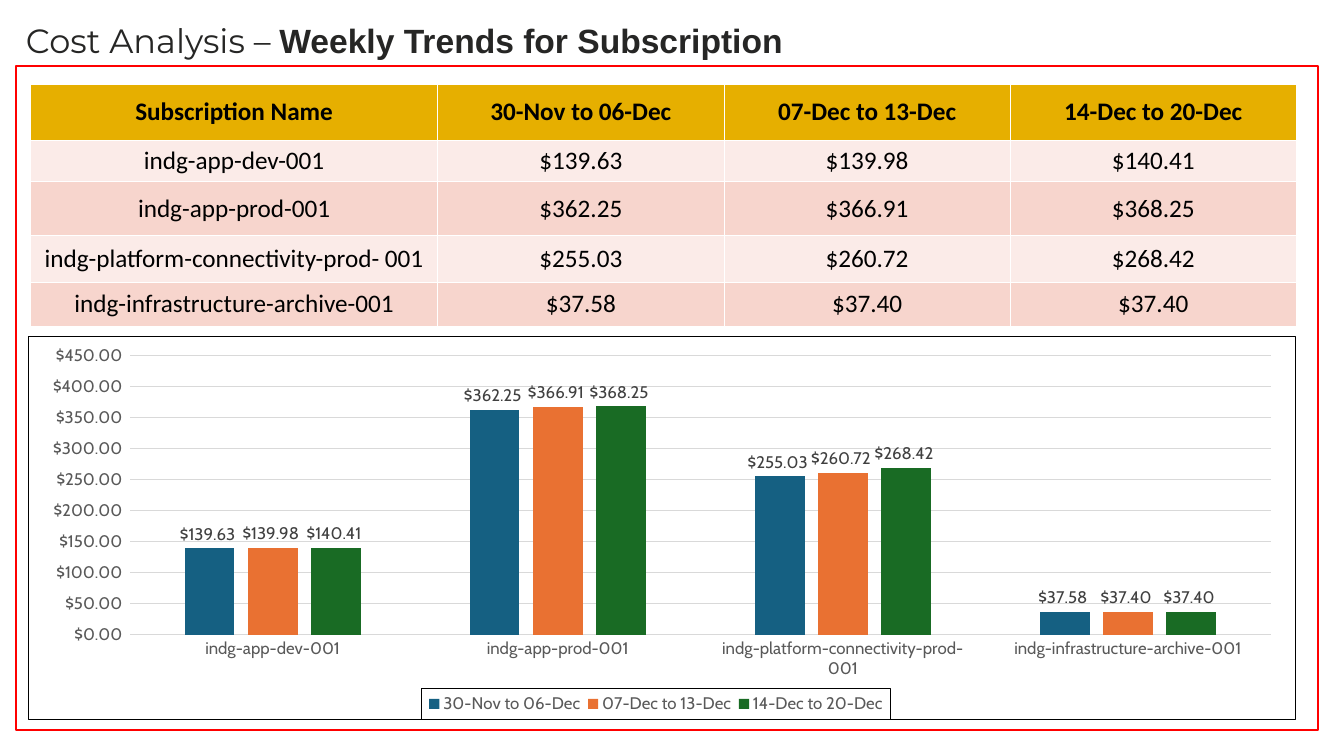
from dataclasses import dataclass

from lxml.etree import SubElement
from pptx import Presentation
from pptx.chart.data import CategoryChartData
from pptx.dml.color import RGBColor
from pptx.enum.chart import XL_CHART_TYPE, XL_LABEL_POSITION, XL_LEGEND_POSITION, XL_TICK_MARK
from pptx.enum.shapes import MSO_SHAPE
from pptx.enum.text import MSO_ANCHOR, MSO_AUTO_SIZE, PP_ALIGN
from pptx.oxml import parse_xml
from pptx.oxml.ns import nsdecls, qn
from pptx.util import Pt


@dataclass(frozen=True)
class Theme:
    """Colours, fonts and type sizes of the slide."""
    frame: str = "FF0000"
    title: str = "262625"
    ink: str = "000000"
    white: str = "FFFFFF"
    head: str = "E6AF00"
    bands: tuple = ("FBEBE8", "F7D5CD")
    bars: tuple = ("156082", "E97132", "196B24")
    axis: str = "595959"
    label: str = "404040"
    grid: str = "D9D9D9"
    light: str = "Montserrat"
    strong: str = "Arial"
    cell: str = "Calibri"
    chart: str = "Cabin"
    big: float = 24
    mid: float = 18
    small: float = 12
    lead: float = 21.8
    thin: float = 0.75
    thick: float = 1.5


THEME = Theme()
MONEY = r'"$"#,##0.00_);[Red]\("$"#,##0.00\)'
WEEKS = ["30-Nov to 06-Dec", "07-Dec to 13-Dec", "14-Dec to 20-Dec"]
COSTS = {
    "indg-app-dev-001": (139.63, 139.98, 140.41),
    "indg-app-prod-001": (362.25, 366.91, 368.25),
    "indg-platform-connectivity-prod- 001": (255.03, 260.72, 268.42),
    "indg-infrastructure-archive-001": (37.58, 37.40, 37.40),
}


def style(font, face, size, tint, bold=False):
    """Set the face, size, colour and weight of a font."""
    font.name, font.size, font.bold = face, Pt(size), bold
    font.color.rgb = RGBColor.from_string(tint)


def stroke(line, tint, width):
    """Set the colour and width of a line."""
    line.color.rgb = RGBColor.from_string(tint)
    line.width = Pt(width)


def paint(fill, tint):
    """Fill with one solid colour."""
    fill.solid()
    fill.fore_color.rgb = RGBColor.from_string(tint)


def add_frame(slide, box):
    """Draw the red outline round the content."""
    frame = slide.shapes.add_shape(MSO_SHAPE.RECTANGLE, *map(Pt, box))
    frame.shadow.inherit = False
    frame.fill.background()
    stroke(frame.line, THEME.frame, THEME.thick)


def add_title(slide, box):
    """Write the heading in a light and a strong part."""
    text = slide.shapes.add_textbox(*map(Pt, box)).text_frame
    text.word_wrap = True
    text.auto_size = MSO_AUTO_SIZE.SHAPE_TO_FIT_TEXT
    parts = (("Cost Analysis – ", THEME.light, False),
             ("Weekly Trends for Subscription", THEME.strong, True))
    for words, face, bold in parts:
        run = text.paragraphs[0].add_run()
        run.text = words
        style(run.font, face, THEME.big, THEME.title, bold)


def edge_cell(cell):
    """Give a cell thin white borders on all sides."""
    props = cell._tc.get_or_add_tcPr()
    for side in ("lnL", "lnR", "lnT", "lnB"):
        line = SubElement(props, qn(f"a:{side}"), w=str(Pt(THEME.thin)))
        solid = SubElement(line, qn("a:solidFill"))
        SubElement(solid, qn("a:srgbClr"), val=THEME.white)


def add_costs(slide, box):
    """Build the table of weekly costs."""
    rows = [["Subscription Name", *WEEKS]]
    rows += [[name, *(f"${cost:.2f}" for cost in costs)] for name, costs in COSTS.items()]
    table = slide.shapes.add_table(len(rows), len(rows[0]), *map(Pt, box)).table
    table.first_row = table.horz_banding = False
    first = 291
    rest = (box[2] - first) / len(WEEKS)
    for col, width in zip(table.columns, [first] + [rest] * len(WEEKS)):
        col.width = Pt(width)
    for row, height in zip(table.rows, (40.1, 29.5, 38.9, 33.1, 31.7)):
        row.height = Pt(height)
    for r, row in enumerate(rows):
        for c, words in enumerate(row):
            cell = table.cell(r, c)
            edge_cell(cell)
            paint(cell.fill, THEME.bands[(r - 1) % 2] if r else THEME.head)
            cell.vertical_anchor = MSO_ANCHOR.MIDDLE
            para = cell.text_frame.paragraphs[0]
            para.text = words
            para.alignment = PP_ALIGN.CENTER
            para.line_spacing = Pt(THEME.lead)
            style(para.runs[0].font, THEME.cell, THEME.mid, THEME.ink, r == 0)


def place(part, index, inner, spot):
    """Fix a chart part at fractions of the chart area."""
    for old in part.findall(qn("c:layout")):
        part.remove(old)
    target = '<c:layoutTarget val="inner"/>' if inner else ""
    modes = "".join(f'<c:{key}Mode val="edge"/>' for key in "xy")
    sizes = "".join(f'<c:{key} val="{val}"/>' for key, val in zip("xywh", spot))
    part.insert(index, parse_xml(
        f'<c:layout {nsdecls("c")}><c:manualLayout>{target}{modes}{sizes}'
        '</c:manualLayout></c:layout>'))


def outline(part):
    """Put a thin dark border on a chart part."""
    part.find(qn("c:txPr")).addprevious(parse_xml(
        f'<c:spPr {nsdecls("c", "a")}><a:noFill/><a:ln w="{Pt(THEME.thin)}"><a:solidFill>'
        f'<a:srgbClr val="{THEME.ink}"/></a:solidFill></a:ln></c:spPr>'))


def add_trend(slide, box):
    """Build the column chart of weekly costs."""
    data = CategoryChartData(number_format=MONEY)
    data.categories = list(COSTS)
    for week, costs in zip(WEEKS, zip(*COSTS.values())):
        data.add_series(week, costs)
    chart = slide.shapes.add_chart(
        XL_CHART_TYPE.COLUMN_CLUSTERED, *map(Pt, box), data).chart
    chart.has_title = False
    style(chart.font, THEME.chart, THEME.small, THEME.ink)
    outline(chart._chartSpace)

    plot = chart.plots[0]
    plot.gap_width, plot.overlap, plot.vary_by_categories = 219, -27, False
    for bars, tint in zip(plot.series, THEME.bars):
        paint(bars.format.fill, tint)
        labels = bars.data_labels
        labels.show_value = True
        labels.position = XL_LABEL_POSITION.OUTSIDE_END
        labels.number_format, labels.number_format_is_linked = MONEY, False
        style(labels.font, THEME.chart, THEME.small, THEME.label)

    names, scale = chart.category_axis, chart.value_axis
    for axis in (names, scale):
        axis.major_tick_mark = axis.minor_tick_mark = XL_TICK_MARK.NONE
        style(axis.tick_labels.font, THEME.chart, THEME.small, THEME.axis)
    stroke(names.format.line, THEME.grid, THEME.thin)
    scale.format.line.fill.background()
    scale.minimum_scale, scale.maximum_scale, scale.major_unit = 0, 450, 50
    stroke(scale.major_gridlines.format.line, THEME.grid, THEME.thin)
    ticks = scale.tick_labels
    ticks.number_format, ticks.number_format_is_linked = MONEY, False

    chart.has_legend = True
    legend = chart.legend
    legend.position = XL_LEGEND_POSITION.BOTTOM
    legend.include_in_layout = False
    style(legend.font, THEME.chart, THEME.small, THEME.axis)
    outline(legend._element)
    place(legend._element, 1, False, (0.31, 0.92, 0.37, 0.08))
    place(chart._chartSpace.chart.plotArea, 0, True, (0.08, 0.05, 0.9, 0.73))


def main():
    """Build and save the slide."""
    deck = Presentation()
    deck.slide_width, deck.slide_height = Pt(960), Pt(540)
    slide = deck.slides.add_slide(deck.slide_layouts[6])
    add_frame(slide, (11.2, 47.2, 930.2, 474.5))
    add_title(slide, (11.5, 10.8, 593.3, 36))
    add_costs(slide, (21.8, 60, 904.3, 173.3))
    add_trend(slide, (20.2, 239.8, 905.8, 274.3))
    deck.save("out.pptx")


if __name__ == "__main__":
    main()
